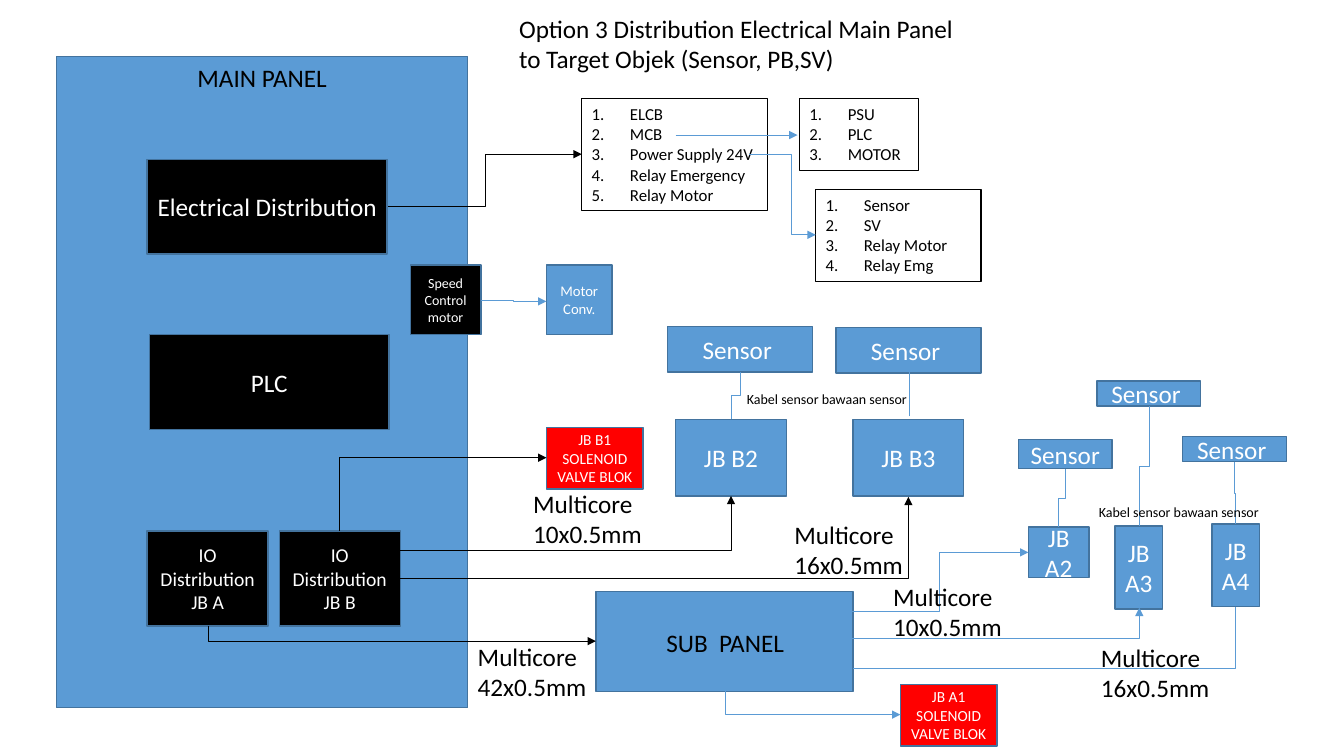
from pptx import Presentation
from pptx.dml.color import RGBColor
from pptx.enum.shapes import MSO_CONNECTOR, MSO_SHAPE
from pptx.enum.text import MSO_ANCHOR, PP_ALIGN
from pptx.oxml.ns import qn
from pptx.util import Inches, Pt
from lxml import etree

C = {"blue": "5B9BD5", "edge": "43739E", "black": "000000", "white": "FFFFFF", "red": "FF0000"}
U = Inches(0.1)  # one grid cell: positions below are columns and rows

prs = Presentation()
prs.slide_width, prs.slide_height = Inches(13.33), Inches(7.5)
s = prs.slides.add_slide(prs.slide_layouts[6])


def box(at, text="", size=18, fill=None, line=None, color="black", numbered=False):
    """Filled boxes centre their text; unfilled ones keep it top left."""
    sp = s.shapes.add_shape(MSO_SHAPE.RECTANGLE, *[round(v * U) for v in at])
    sp.shadow.inherit = False
    if fill:
        sp.fill.solid()
        sp.fill.fore_color.rgb = RGBColor.from_string(C[fill])
    else:
        sp.fill.background()
    if line:
        sp.line.color.rgb = RGBColor.from_string(C[line])
        sp.line.width = Pt(1 if fill else 0.75)
    else:
        sp.line.fill.background()
    tf = sp.text_frame
    tf.word_wrap = True
    tf.vertical_anchor = MSO_ANCHOR.MIDDLE if fill else MSO_ANCHOR.TOP
    tf.text = text
    for p in tf.paragraphs:
        p.alignment = PP_ALIGN.CENTER if fill else PP_ALIGN.LEFT
        for r in p.runs:
            r.font.name, r.font.size = "Calibri", Pt(size)
            r.font.color.rgb = RGBColor.from_string(C[color])
        if numbered:
            pPr = p._p.get_or_add_pPr()
            pPr.set("marL", str(Inches(0.38)))
            pPr.set("indent", str(-Inches(0.38)))
            etree.SubElement(pPr, qn("a:buFont"), typeface="+mj-lt")
            etree.SubElement(pPr, qn("a:buAutoNum"), type="arabicPeriod")


def connect(route, x1, y1, x2, y2, color="blue", arrow=True):
    """route lists the legs in order: h = horizontal, v = vertical."""
    turn = route[0] == "v"
    if turn:  # lay the path out sideways, then rotate it about its centre
        dx, dy, cx, cy = x2 - x1, y2 - y1, (x1 + x2) / 2, (y1 + y2) / 2
        half = dx / 2 if dy > 0 else -dx / 2
        rot = 90 if dy > 0 else 270
        x1, x2 = cx - abs(dy) / 2, cx + abs(dy) / 2
        y1, y2 = cy + half, cy - half
    kind = MSO_CONNECTOR.STRAIGHT if route == "h" else MSO_CONNECTOR.ELBOW
    cn = s.shapes.add_connector(kind, *[round(v * U) for v in (x1, y1, x2, y2)])
    spPr = cn._element.spPr
    if turn:
        spPr.find(qn("a:xfrm")).set("rot", str(rot * 60000))
    if len(route) == 2:
        spPr.find(qn("a:prstGeom")).set("prst", "bentConnector2")
    cn.line.color.rgb = RGBColor.from_string(C[color])
    cn.line.width = Pt(0.5)
    if arrow:
        etree.SubElement(cn.line._get_or_add_ln(), qn("a:tailEnd"), type="triangle")
    etree.SubElement(spPr, qn("a:effectLst"))


# Main panel and sub panel
box((5.6, 5.6, 40.8, 64.6), fill="blue", line="edge")
box((59.1, 58.7, 25.5, 9.9), fill="blue", line="edge")

# Black units of the main panel
for at, text, size in [
    ((14.6, 15.8, 23.8, 9.4), "Electrical Distribution", 18),
    ((14.8, 33.2, 23.8, 9.4), "PLC", 18),
    ((14.6, 52.7, 12, 9.4), "IO Distribution JB A", 14),
    ((27.7, 52.7, 12, 9.4), "IO Distribution JB B", 14),
    ((40.7, 26.3, 7, 6.9), "Speed Control motor", 10),
]:
    box(at, text, size, "black", "edge", "white")

# Numbered lists
for at, items in [
    ((57.7, 9.8, 18.4, 11.1), ["ELCB", "MCB", "Power Supply 24V", "Relay Emergency", "Relay Motor"]),
    ((79.3, 9.8, 11.8, 7.1), ["PSU", "PLC", "MOTOR"]),
    ((80.9, 18.8, 16.4, 9.1), ["Sensor", "SV", "Relay Motor", "Relay Emg"]),
]:
    box(at, "\n".join(items), 12, line="black", numbered=True)

# Solenoid valve blocks
for x, y, text in [(54.2, 42.4, "JB B1 SOLENOID VALVE BLOK"), (89.3, 67.9, "JB A1\nSOLENOID VALVE BLOK")]:
    box((x, y, 9.6, 6.1), text, 11, "red", "edge", "white")

# Motor, junction boxes and sensors
box((54.2, 26.3, 6.5, 6.9), "Motor Conv.", 10.5, "blue", "edge", "white")
for at, text in [
    ((67, 41.6, 11, 7.6), "JB B2"),
    ((84.6, 41.6, 11, 7.6), "JB B3"),
    ((102, 52.3, 6, 5), "JB A2"),
    ((110.6, 52.2, 4.7, 8.2), "JB A3"),
    ((120.2, 52, 4.7, 8.2), "JB A4"),
    ((66.2, 32.4, 14.4, 4.5), "Sensor "),
    ((82.9, 32.5, 14.4, 4.5), "Sensor "),
    ((101, 43.6, 9.3, 2.9), "Sensor "),
    ((108.8, 37.8, 10.3, 2.5), "Sensor "),
    ((117.3, 43.3, 10.3, 2.5), "Sensor "),
]:
    box(at, text, 18, "blue", "edge", "white")

# Black wiring
for wire in [
    ("hvh", 38.5, 20.5, 57.7, 15.3),
    ("vh", 20.7, 62.1, 59.1, 63.6),
    ("vh", 33.7, 52.7, 54.2, 45.4),
    ("hv", 38.8, 54.6, 72.5, 49.2),
    ("hv", 39.7, 57.4, 90.1, 49.3),
]:
    connect(*wire, color="black")

# Blue wiring with arrowheads
for wire in [
    ("h", 67, 13.4, 79.1, 13.4),
    ("hvh", 76.1, 15.3, 80.9, 23.3),
    ("hvh", 47.7, 29.8, 54.2, 29.9),
    ("vh", 71.9, 68.6, 89.3, 70.9),
    ("hvh", 84.4, 60.7, 102, 54.8),
    ("hv", 76.4, 63.3, 113, 60.3),
]:
    connect(*wire)

# Blue wiring without arrowheads
for wire in [
    ("h", 74.3, 15.3, 76.1, 15.3),
    ("vhv", 72.5, 41.6, 73.4, 36.9),
    ("vhv", 90.2, 41.3, 90.2, 36.8),
    ("vhv", 105, 52.3, 105.7, 46.5),
    ("vhv", 114, 40.3, 113, 52.2),
    ("vhv", 122.4, 45.8, 122.5, 52),
    ("hv", 84.6, 66.3, 122.5, 60.2),
]:
    connect(*wire, arrow=False)

# Title and panel names
box((50.5, 0.8, 46.9, 7.1), "Option 3 Distribution Electrical Main Panel to Target Objek (Sensor, PB,SV)")
box((18.6, 5.7, 23.5, 4.2), "MAIN PANEL")
box((65.1, 61.7, 14.2, 4.2), "SUB  PANEL")

# Cable labels
for x, y, cores in [(46.4, 63.1, 42), (77.8, 51, 16), (108.2, 63.2, 16), (51.9, 47.9, 10), (87.6, 57.2, 10)]:
    box((x, y, 14.3, 7.1), f"Multicore\n{cores}x0.5mm")
for x, y in [(73.1, 38.3), (108, 49.5)]:
    box((x, y, 18.9, 2.7), "Kabel sensor bawaan sensor", 10)

prs.save("out.pptx")
